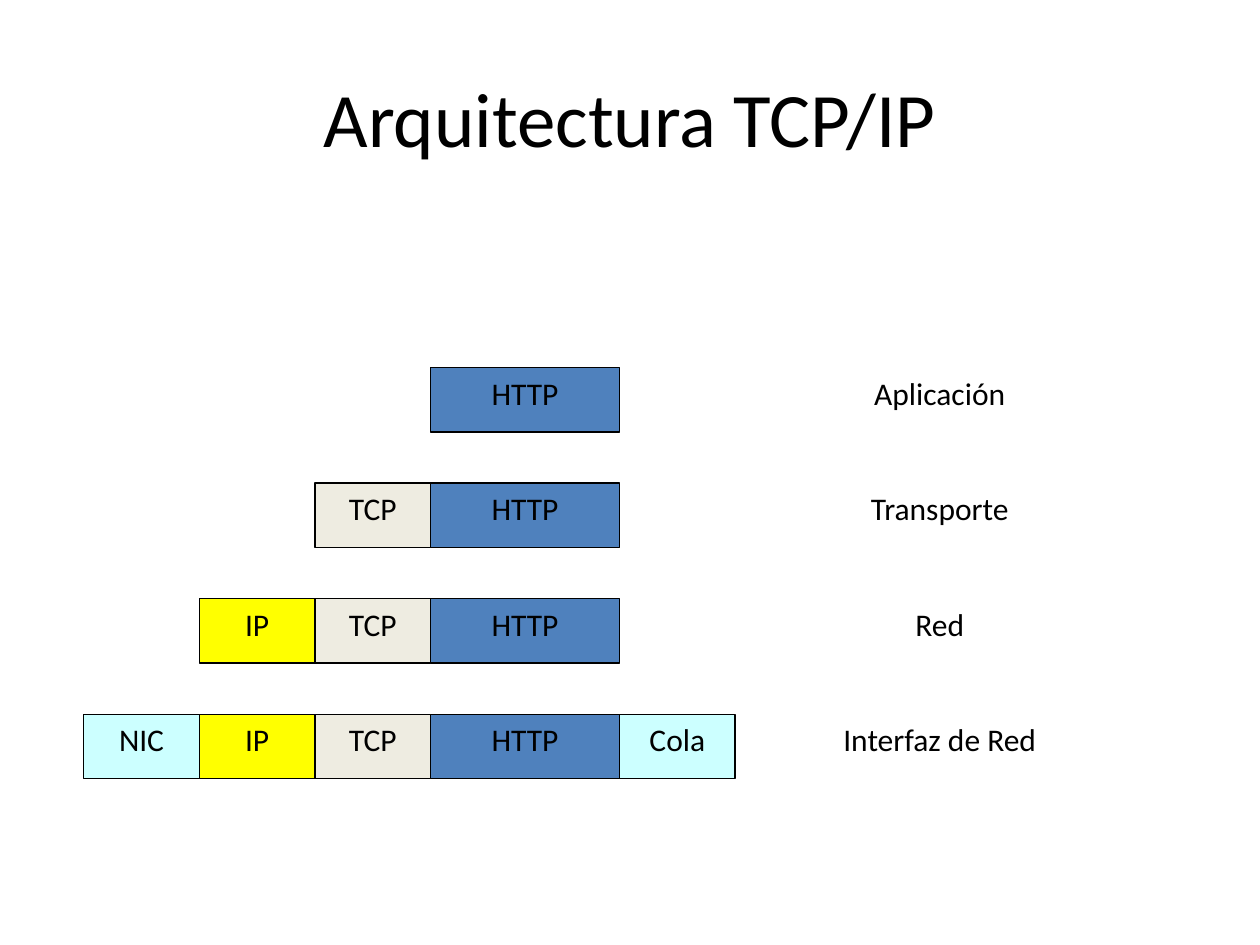
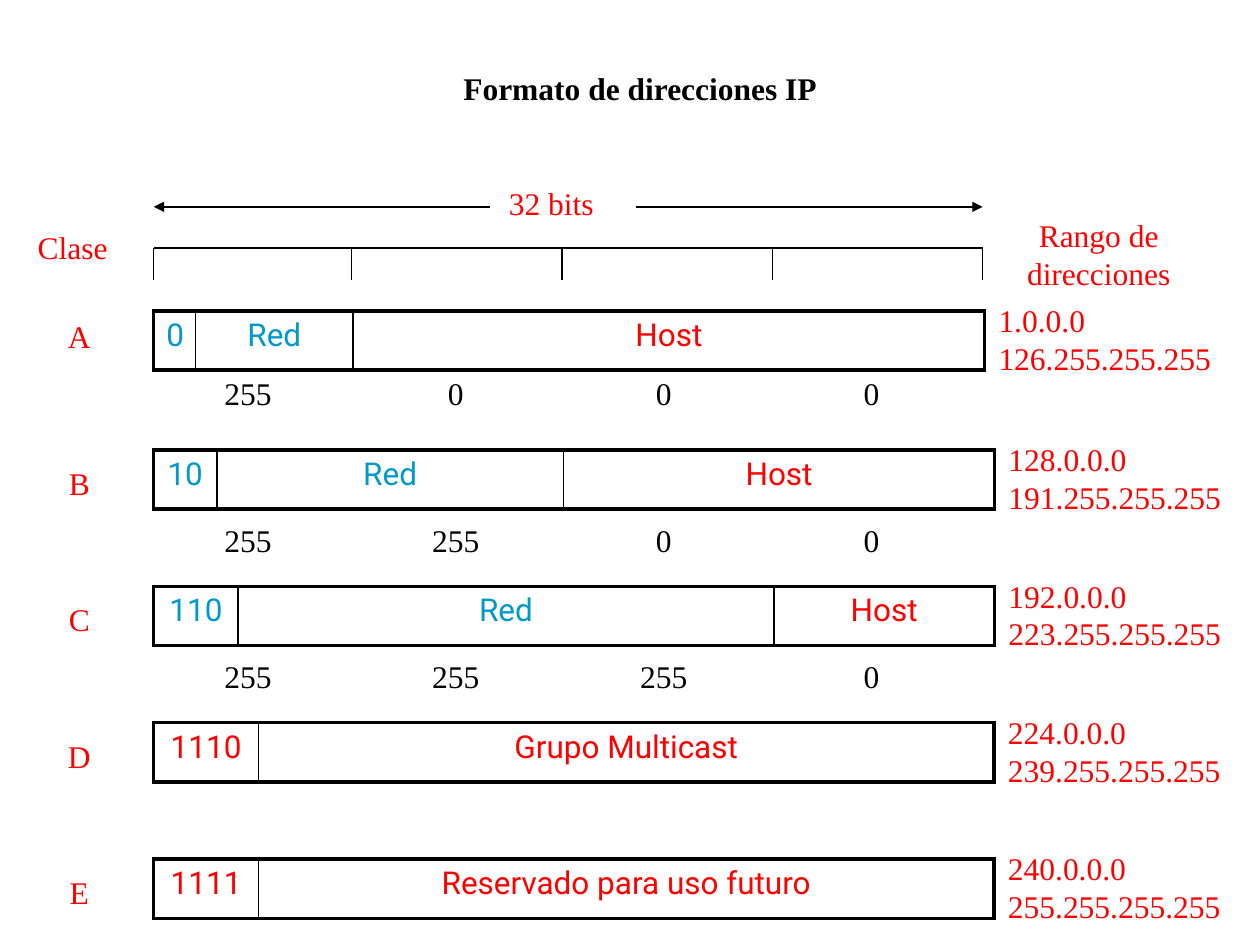
from dataclasses import dataclass
from itertools import accumulate
from typing import Optional

from lxml.etree import SubElement
from pptx import Presentation
from pptx.dml.color import RGBColor as Rgb
from pptx.enum.shapes import MSO_CONNECTOR as Connector, MSO_SHAPE as Shape
from pptx.enum.text import MSO_ANCHOR as Anchor, MSO_AUTO_SIZE as AutoSize, PP_ALIGN as Align
from pptx.oxml.ns import qn
from pptx.util import Cm, Pt


@dataclass(frozen=True)
class Style:
    font: str
    color: str
    size: float = 18
    bold: bool = False


@dataclass(frozen=True)
class Theme:
    black: str = "000000"
    payload: str = "4F81BD"
    transport: str = "EEECE1"
    network: str = "FFFF00"
    link: str = "CCFFFF"
    title: Style = Style("Calibri", "000000", 44)
    body: Style = Style("Calibri", "000000")
    heading: Style = Style("Times New Roman", "000000", bold=True)
    label: Style = Style("Times New Roman", "FF0000")
    octet: Style = Style("Times New Roman", "000000")
    net_bits: Style = Style("Roboto", "0099CC")
    host_bits: Style = Style("Roboto", "FF0000")
    thin: float = 0.75
    inner: float = 1
    outer: float = 2.25


THEME = Theme()


@dataclass(frozen=True)
class Box:
    """Left, top, width and height in centimetres."""
    x: float
    y: float
    w: float
    h: float

    def emu(self) -> tuple:
        return Cm(self.x), Cm(self.y), Cm(self.w), Cm(self.h)


@dataclass(frozen=True)
class Field:
    name: str
    width: float
    color: str


@dataclass(frozen=True)
class Layer:
    name: str
    first: int
    last: int


@dataclass(frozen=True)
class AddressClass:
    letter: str
    y: float
    widths: tuple
    segments: tuple
    first_address: str
    last_address: str
    mask: Optional[tuple] = None
    drop: float = 0.16  # extra distance of the letter and the mask


# Shared drawing functions

def write(frame, lines: list, style: Style, align=Align.LEFT, before: float = 0) -> None:
    for index, line in enumerate(lines):
        paragraph = frame.add_paragraph() if index else frame.paragraphs[0]
        paragraph.alignment = align
        paragraph.space_before = Pt(before)
        run = paragraph.add_run()
        run.text = line
        run.font.name, run.font.size, run.font.bold = style.font, Pt(style.size), style.bold
        run.font.color.rgb = Rgb.from_string(style.color)


def add_title(slide, text: str, box: Box, style: Style, anchor) -> None:
    title = slide.shapes.title
    title.left, title.top, title.width, title.height = box.emu()
    title.text_frame.auto_size = AutoSize.NONE
    title.text_frame.vertical_anchor = anchor
    write(title.text_frame, [text], style, Align.CENTER)


def add_label(shapes, box: Box, lines: list, style: Style, align=Align.LEFT,
              wrap: bool = True, before: float = 0):
    label = shapes.add_textbox(*box.emu())
    label.text_frame.word_wrap = wrap
    write(label.text_frame, lines, style, align, before)
    return label


def add_field(shapes, box: Box, field: Field) -> None:
    block = shapes.add_shape(Shape.RECTANGLE, *box.emu())
    block.shadow.inherit = False
    block.fill.solid()
    block.fill.fore_color.rgb = Rgb.from_string(field.color)
    block.line.color.rgb = Rgb.from_string(THEME.black)
    block.line.width = Pt(THEME.thin)
    block.text_frame.vertical_anchor = Anchor.TOP
    write(block.text_frame, [field.name], THEME.body, Align.CENTER, before=9)


def add_line(shapes, x1: float, y1: float, x2: float, y2: float, arrow: bool = False) -> None:
    line = shapes.add_connector(Connector.STRAIGHT, Cm(x1), Cm(y1), Cm(x2), Cm(y2))
    line.line.color.rgb = Rgb.from_string(THEME.black)
    line.line.width = Pt(THEME.thin)
    properties = line._element.spPr
    if arrow:
        SubElement(properties.find(qn("a:ln")), qn("a:tailEnd"), type="triangle")
    SubElement(properties, qn("a:effectLst"))


def set_borders(cell, is_first: bool, is_last: bool) -> None:
    left = THEME.outer if is_first else THEME.inner
    right = THEME.outer if is_last else THEME.inner
    sides = {"L": left, "R": right, "T": THEME.outer, "B": THEME.outer}
    properties = cell._tc.get_or_add_tcPr()
    for side, width in sides.items():
        border = SubElement(properties, qn(f"a:ln{side}"), w=str(Pt(width)))
        fill = SubElement(border, qn("a:solidFill"))
        SubElement(fill, qn("a:srgbClr"), val=THEME.black)


def set_centre_tabs(paragraph, stops: list) -> None:
    tabs = SubElement(paragraph._p.get_or_add_pPr(), qn("a:tabLst"))
    for stop in stops:
        SubElement(tabs, qn("a:tab"), pos=str(Cm(stop)), algn="ctr")


prs = Presentation()
prs.slide_width, prs.slide_height = Cm(25.4), Cm(19.05)
TITLE_ONLY = prs.slide_layouts[5]

# Slide 1: encapsulation through the layers
HEADER = 2.33
STACK_LEFT, STACK_TOP, STACK_PITCH = 1.69, 7.41, 2.33
FIELDS = [
    Field("NIC", HEADER, THEME.link),
    Field("IP", HEADER, THEME.network),
    Field("TCP", HEADER, THEME.transport),
    Field("HTTP", 3.81, THEME.payload),
    Field("Cola", HEADER, THEME.link),
]
LAYERS = [
    Layer("Aplicación", 3, 3),
    Layer("Transporte", 2, 3),
    Layer("Red", 1, 3),
    Layer("Interfaz de Red", 0, 4),
]

architecture = prs.slides.add_slide(TITLE_ONLY)
add_title(architecture, "Arquitectura TCP/IP", Box(1.27, 0.76, 22.86, 3.18),
          THEME.title, Anchor.MIDDLE)
field_lefts = list(accumulate((field.width for field in FIELDS), initial=STACK_LEFT))
for level, layer in enumerate(LAYERS):
    y = STACK_TOP + level * STACK_PITCH
    for index in range(layer.last, layer.first - 1, -1):
        field = FIELDS[index]
        add_field(architecture.shapes, Box(field_lefts[index], y, field.width, 1.3), field)
    add_label(architecture.shapes, Box(15.45, y, 6.99, 1.27), [layer.name],
              THEME.body, Align.CENTER, before=9)

# Slide 2: address classes
LEFT, RIGHT, ROW_HEIGHT = 3.1, 19.81, 1.19
OCTET_WIDTH = 4.24
MASK_TABS = [0.94 + 4.19 * octet for octet in range(4)]
CLASSES = [
    AddressClass("A", 6.27, (0.84, 3.18, 12.73), ("0", "Red", "Host"),
                 "1.0.0.0", "126.255.255.255", ("255", "0", "0", "0"), drop=0),
    AddressClass("B", 9.07, (1.27, 6.99, 8.69), ("10", "Red", "Host"),
                 "128.0.0.0", "191.255.255.255", ("255", "255", "0", "0")),
    AddressClass("C", 11.82, (1.7, 10.8, 4.45), ("110", "Red", "Host"),
                 "192.0.0.0", "223.255.255.255", ("255", "255", "255", "0")),
    AddressClass("D", 14.57, (2.11, 14.83), ("1110", "Grupo Multicast"),
                 "224.0.0.0", "239.255.255.255"),
    AddressClass("E", 17.32, (2.11, 14.83), ("1111", "Reservado para uso futuro"),
                 "240.0.0.0", "255.255.255.255"),
]


def add_bit_layout(shapes, item: AddressClass) -> None:
    box = Box(LEFT, item.y, sum(item.widths), ROW_HEIGHT)
    table = shapes.add_table(1, len(item.segments), *box.emu()).table
    table.first_row = table.horz_banding = False
    last = len(item.segments) - 1
    for index, (segment, width) in enumerate(zip(item.segments, item.widths)):
        table.columns[index].width = Cm(width)
        cell = table.cell(0, index)
        set_borders(cell, index == 0, index == last)
        cell.fill.background()
        is_network = item.mask is not None and index < last
        style = THEME.net_bits if is_network else THEME.host_bits
        write(cell.text_frame, [segment], style, Align.CENTER, before=3.6)


def add_address_class(shapes, item: AddressClass) -> None:
    add_bit_layout(shapes, item)
    add_label(shapes, Box(1.12, item.y + item.drop, 0.96, 1.02), [item.letter],
              THEME.label, Align.CENTER, wrap=False)
    range_left = LEFT + sum(item.widths) + 0.03
    addresses = add_label(shapes, Box(range_left, item.y - 0.32, 4.85, 1.8),
                          [item.first_address, item.last_address], THEME.label, wrap=False)
    addresses.text_frame.auto_size = AutoSize.SHAPE_TO_FIT_TEXT
    if item.mask:
        mask = add_label(shapes, Box(3.81, item.y + 1.14 + item.drop, 15.88, 1.02),
                         ["\t" + "\t".join(item.mask)], THEME.octet)
        set_centre_tabs(mask.text_frame.paragraphs[0], MASK_TABS)


def add_bit_ruler(shapes) -> None:
    arrow_y, top, bottom = 4.17, 5, 5.64
    add_label(shapes, Box(10.01, 3.58, 2.24, 1.02), ["32 bits"], THEME.label, wrap=False)
    add_line(shapes, 9.88, arrow_y, LEFT, arrow_y, arrow=True)
    add_line(shapes, 12.83, arrow_y, RIGHT, arrow_y, arrow=True)
    add_line(shapes, LEFT, top, RIGHT, top)
    for x in [LEFT] + [RIGHT - OCTET_WIDTH * octet for octet in range(3, -1, -1)]:
        add_line(shapes, x, top, x, bottom)


formats = prs.slides.add_slide(TITLE_ONLY)
add_title(formats, "Formato de direcciones IP", Box(5.92, 1.27, 13.97, 1.27),
          THEME.heading, Anchor.TOP)
add_bit_ruler(formats.shapes.add_group_shape().shapes)
add_label(formats.shapes, Box(0.51, 4.47, 1.93, 1.02), ["Clase"], THEME.label, wrap=False)
add_label(formats.shapes, Box(19.89, 4.24, 4.52, 1.8), ["Rango de", "direcciones"],
          THEME.label, Align.CENTER)
for address_class in CLASSES:
    add_address_class(formats.shapes, address_class)

prs.save("out.pptx")
